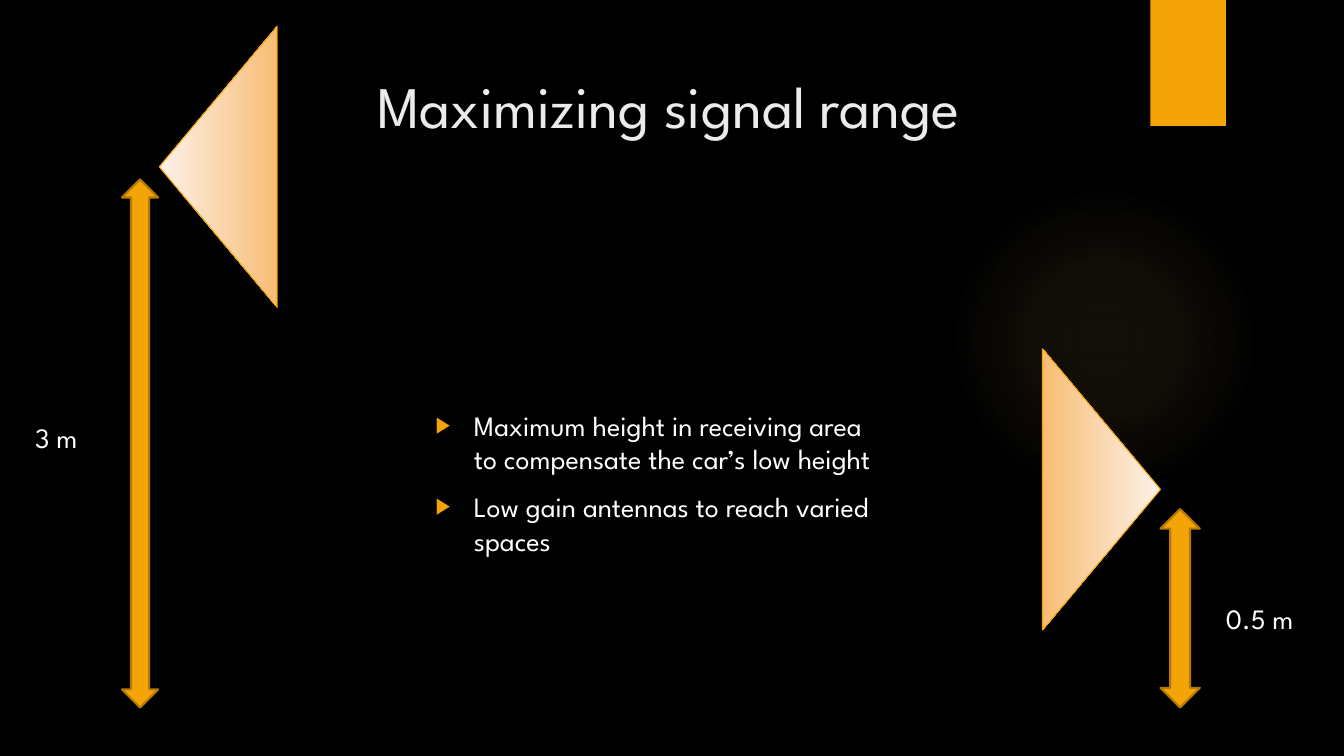
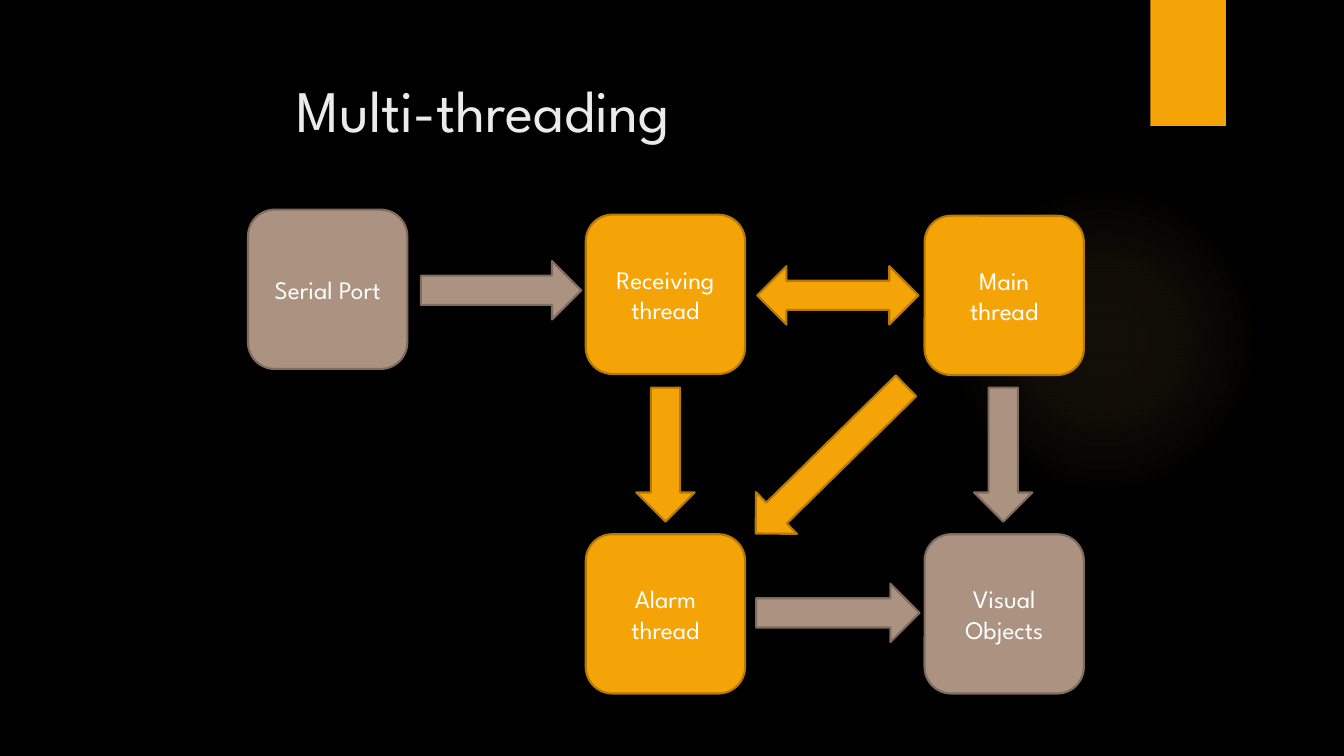
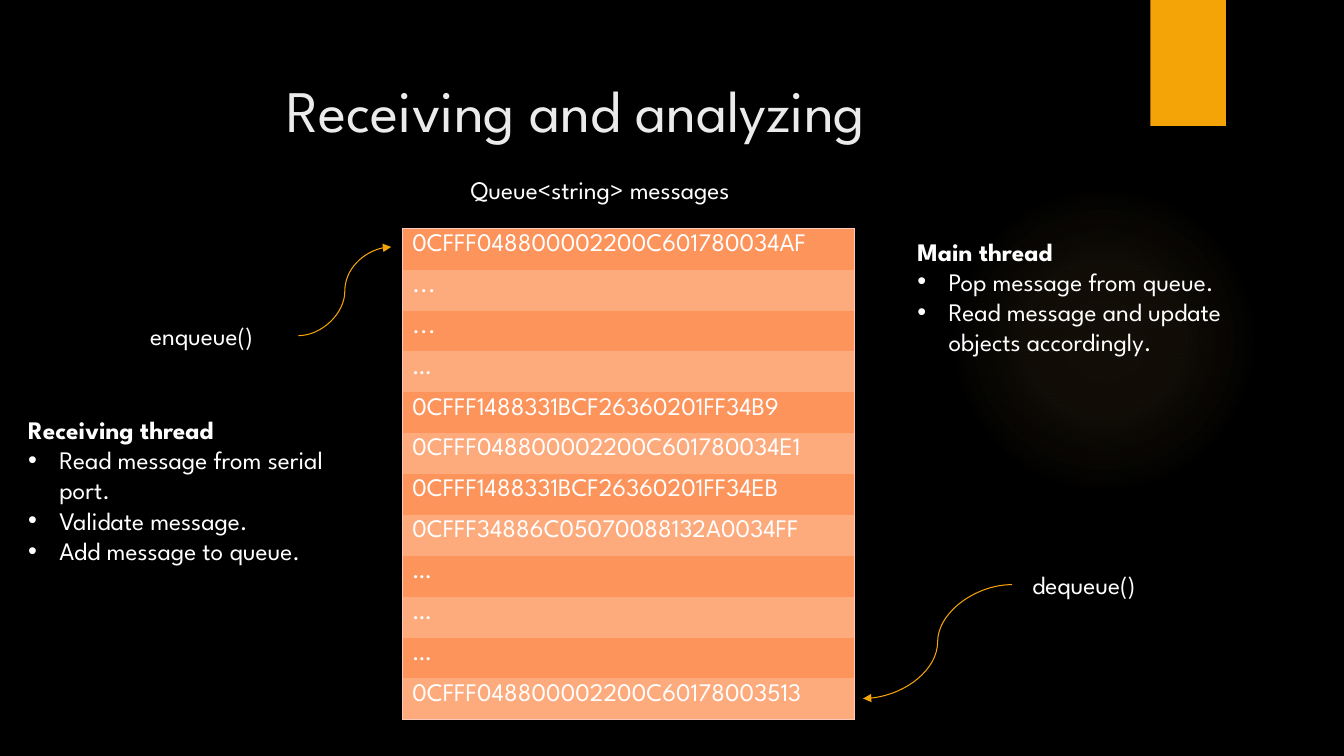
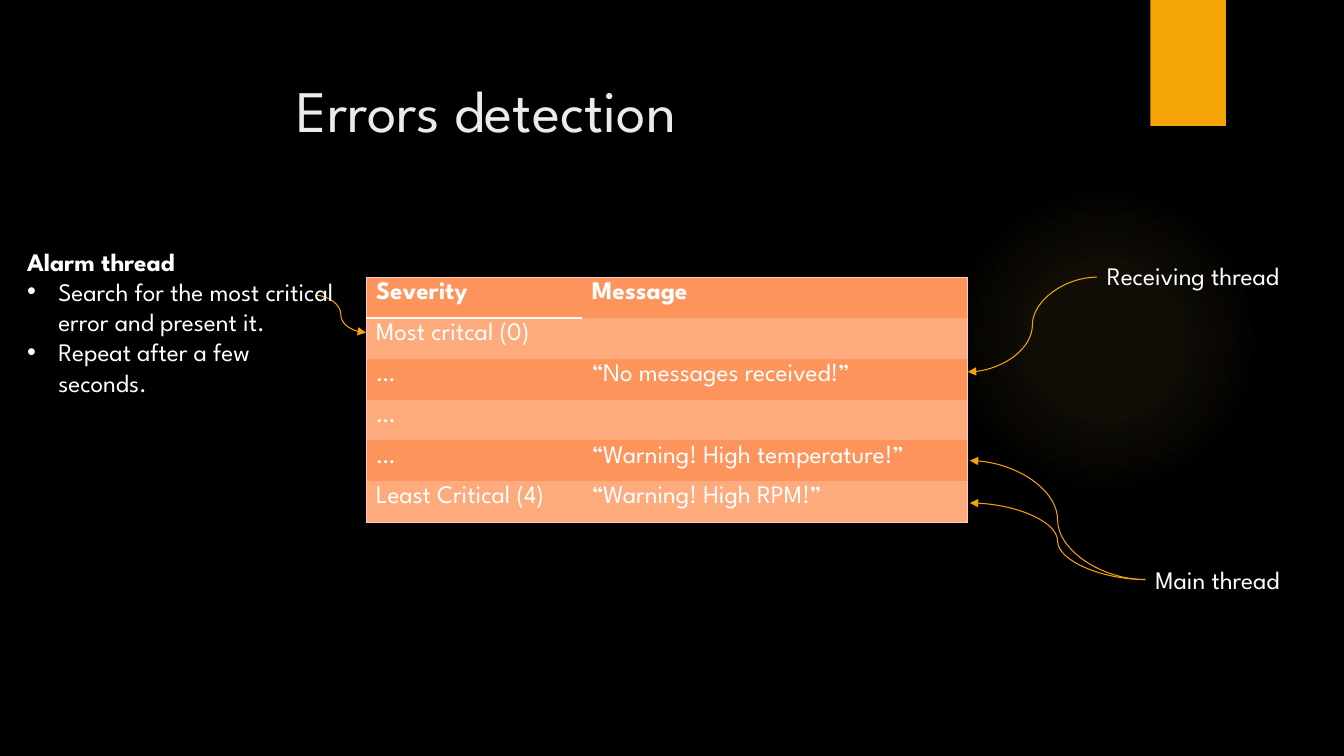
from lxml import etree
from pptx import Presentation
from pptx.dml.color import RGBColor
from pptx.enum.shapes import MSO_CONNECTOR, MSO_SHAPE
from pptx.enum.text import MSO_ANCHOR, MSO_AUTO_SIZE, PP_ALIGN
from pptx.oxml import parse_xml
from pptx.oxml.ns import nsdecls, qn
from pptx.util import Inches, Pt

FONT = "League Spartan"
COLORS = {
    "background": "000000", "title": "EBEBEB", "text": "FFFFFF",
    "gold": "F5A408", "gold_edge": "B57906",
    "taupe": "AB9281", "taupe_edge": "7F6C5F",
    "glow": "FAC96A", "beam_light": "FDF2E9", "beam_dark": "F8BD75",
    "row": "FC945C", "row_alternate": "FDAA7D", "table_edge": "FDC9BD",
}
NO_TABLE_STYLE = "{2D5ABB26-0587-4C30-8999-92F81FD0307C}"

# Slide 1: antennas
RANGE_POINTS = ["Maximum height in receiving area to compensate the car’s low height",
                "Low gain antennas to reach varied spaces"]
HEIGHT_ARROWS = [(1.21, 1.78, 0.36, 5.24), (11.51, 5.05, 0.39, 1.97)]
BEAMS = [(9.53, 4.27, 90), (0.77, 1.07, 270)]  # left, top, rotation
HEIGHT_LABELS = [("3 m", 0.25, 4.12), ("0.5 m", 12.06, 5.92)]

# Slide 2: threads
NODE_SIZE = 1.58
NODES = [  # text, left, top, colour
    ("Main thread", 9.17, 2.14, "gold"),
    ("Receiving thread", 5.81, 2.13, "gold"),
    ("Alarm thread", 5.81, 5.3, "gold"),
    ("Serial Port", 2.46, 2.08, "taupe"),
    ("Visual Objects", 9.17, 5.3, "taupe"),
]
ARROW_WIDTH = 0.58
FLOWS = [  # preset, centre x, centre y, length, rotation, colour
    (MSO_SHAPE.UP_ARROW, 4.97, 2.88, 1.59, 90, "taupe"),
    (MSO_SHAPE.UP_ARROW, 9.95, 4.51, 1.33, 180, "taupe"),
    (MSO_SHAPE.UP_ARROW, 8.31, 6.08, 1.62, 90, "taupe"),
    (MSO_SHAPE.UP_DOWN_ARROW, 8.31, 2.93, 1.6, 90, "gold"),
    (MSO_SHAPE.UP_ARROW, 6.6, 4.51, 1.33, 180, "gold"),
    (MSO_SHAPE.UP_ARROW, 8.24, 4.56, 2.09, 225.5, "gold"),
]

# Slide 3: message queue
QUEUE_ROWS = [[message] for message in (
    "0CFFF048800002200C601780034AF", "...", "...", "…",
    "0CFFF1488331BCF26360201FF34B9", "0CFFF048800002200C601780034E1",
    "0CFFF1488331BCF26360201FF34EB", "0CFFF34886C05070088132A0034FF",
    "…", "…", "…", "0CFFF048800002200C60178003513")]
QUEUE_LABELS = [("Queue<string> messages", 4.57, 1.68, 3.27),
                ("dequeue()", 10.14, 5.6, 1.54), ("enqueue()", 1.39, 3.13, 1.52)]
QUEUE_CURVES = [(2.96, 3.33, 3.88, 2.45), (10.04, 5.8, 8.56, 6.93)]
QUEUE_NOTES = [
    ("Receiving thread", ["Read message from serial port.", "Validate message.",
                          "Add message to queue."], (0.18, 4.06, 3.54, 1.62)),
    ("Main thread", ["Pop message from queue.",
                     "Read message and update objects accordingly."], (9, 2.29, 3.94, 1.31)),
]

# Slide 4: alarms
ALARM_ROWS = [
    ["Severity", "Message"],
    ["Most critcal (0)", ""],
    ["…", "“No messages received!”"],
    ["…", ""],
    ["…", "“Warning! High temperature!”"],
    ["Least Critical (4)", "“Warning! High RPM!”"],
]
ALARM_LABELS = [("Main thread", 11.36, 5.55, 1.71), ("Receiving thread", 10.88, 2.53, 2.31)]
ALARM_CURVES = [(11.36, 5.75, 9.62, 4.57), (11.36, 5.75, 9.62, 4.99),
                (10.88, 2.75, 9.6, 3.69), (3.13, 2.93, 3.63, 3.3)]
ALARM_NOTES = [
    ("Alarm thread", ["Search for the most critical error and present it.",
                      "Repeat after a few seconds."], (0.17, 2.39, 3.3, 1.92)),
]


def rgb(name):
    return RGBColor.from_string(COLORS[name])


def inches(*values):
    return [Inches(value) for value in values]


# Text
def style(paragraph, size, color="text", bold=False):
    font = paragraph.font
    font.name, font.size, font.bold = FONT, Pt(size), bold
    font.color.rgb = rgb(color)


def add_bullet(paragraph, character, indent, color=None, percent=100):
    properties = paragraph._p.get_or_add_pPr()
    properties.set("marL", str(Inches(indent)))
    properties.set("indent", str(-Inches(indent)))
    if color:
        properties.append(parse_xml(
            f'<a:buClr {nsdecls("a")}><a:srgbClr val="{COLORS[color]}"/></a:buClr>'))
    for tag, key, value in (("a:buSzPct", "val", str(percent * 1000)),
                            ("a:buFont", "typeface", "Arial"),
                            ("a:buChar", "char", character)):
        etree.SubElement(properties, qn(tag)).set(key, value)


def add_paragraph(frame, index, text):
    paragraph = frame.paragraphs[0] if index == 0 else frame.add_paragraph()
    paragraph.text = text
    return paragraph


def add_label(slide, text, left, top, width, height=0.4, size=18):
    frame = slide.shapes.add_textbox(*inches(left, top, width, height)).text_frame
    frame.word_wrap = True
    frame.text = text
    style(frame.paragraphs[0], size)


def add_note(slide, heading, points, box):
    frame = slide.shapes.add_textbox(*inches(*box)).text_frame
    frame.word_wrap = True
    for index, text in enumerate([heading] + points):
        paragraph = add_paragraph(frame, index, text)
        if index:
            add_bullet(paragraph, "•", 0.31)
        style(paragraph, 18, bold=index == 0)


def place(placeholder, left, top, width, height):
    placeholder.left, placeholder.top, placeholder.width, placeholder.height = inches(
        left, top, width, height)
    frame = placeholder.text_frame
    frame.word_wrap = True
    frame.auto_size = MSO_AUTO_SIZE.NONE
    frame.vertical_anchor = MSO_ANCHOR.TOP
    return frame


# Shapes
def add_shape(slide, preset, box, fill, edge=None, edge_width=1.5, rotation=0):
    shape = slide.shapes.add_shape(preset, *inches(*box))
    shape.shadow.inherit = False
    shape.rotation = rotation
    shape.fill.solid()
    shape.fill.fore_color.rgb = rgb(fill)
    if edge:
        shape.line.color.rgb = rgb(edge)
        shape.line.width = Pt(edge_width)
    else:
        shape.line.fill.background()
    return shape


def set_gradient(shape, stops, shading):
    stop_xml = "".join(
        f'<a:gs pos="{position * 1000}"><a:srgbClr val="{COLORS[color]}">'
        f'<a:alpha val="{alpha * 1000}"/></a:srgbClr></a:gs>'
        for position, color, alpha in stops)
    properties = shape.element.spPr
    properties.replace(properties.find(qn("a:solidFill")), parse_xml(
        f'<a:gradFill {nsdecls("a")} rotWithShape="1"><a:gsLst>{stop_xml}</a:gsLst>'
        f'{shading}</a:gradFill>'))


def add_curve(slide, *ends):
    connector = slide.shapes.add_connector(MSO_CONNECTOR.CURVE, *inches(*ends))
    connector.line.color.rgb = rgb("gold")
    connector.line.width = Pt(0.75)
    properties = connector.element.spPr
    etree.SubElement(properties.find(qn("a:ln")), qn("a:tailEnd")).set("type", "triangle")
    etree.SubElement(properties, qn("a:effectLst"))


# Tables
def set_borders(cell, borders):
    properties = cell._tc.get_or_add_tcPr()
    edges = [edge for edge in ("lnL", "lnR", "lnT", "lnB") if edge in borders]
    for index, edge in enumerate(edges):
        color, width = borders[edge]
        properties.insert(index, parse_xml(
            f'<a:{edge} {nsdecls("a")} w="{Pt(width)}"><a:solidFill>'
            f'<a:srgbClr val="{COLORS[color]}"/></a:solidFill></a:{edge}>'))


def add_striped_table(slide, rows, left, top, widths, height, header=False):
    table = slide.shapes.add_table(len(rows), len(widths),
                                   *inches(left, top, sum(widths), height)).table
    table.first_row = table.horz_banding = False
    table._tbl.tblPr.find(qn("a:tableStyleId")).text = NO_TABLE_STYLE
    for column, width in zip(table.columns, widths):
        column.width = Inches(width)
    last_row, last_column = len(rows) - 1, len(widths) - 1
    outline = ("table_edge", 0.75)
    for row_index, row in enumerate(rows):
        for column_index, text in enumerate(row):
            cell = table.cell(row_index, column_index)
            cell.text = text
            style(cell.text_frame.paragraphs[0], 18, bold=header and row_index == 0)
            cell.fill.solid()
            cell.fill.fore_color.rgb = rgb("row_alternate" if row_index % 2 else "row")
            outer = {"lnL": column_index == 0, "lnR": column_index == last_column,
                     "lnT": row_index == 0, "lnB": row_index == last_row}
            borders = {edge: outline for edge, drawn in outer.items() if drawn}
            if header and row_index == 0 and column_index == 0:
                borders["lnB"] = ("text", 2.25)
            set_borders(cell, borders)


# Shared frame
def add_slide(presentation, title, left, top=0.68, layout=5):
    slide = presentation.slides.add_slide(presentation.slide_layouts[layout])
    frame = place(slide.shapes.title, left, top, 9.75, 1.4)
    frame.text = title
    frame.paragraphs[0].alignment = PP_ALIGN.LEFT
    style(frame.paragraphs[0], 42, "title")
    return slide


def decorate_master(presentation, slide):
    """Draw the glow and the flag, then move them to the master."""
    master = presentation.slide_master
    master.background.fill.solid()
    master.background.fill.fore_color.rgb = rgb("background")
    glow = add_shape(slide, MSO_SHAPE.OVAL, (9.41, 1.83, 3.08, 3.08), "glow")
    set_gradient(glow, [(0, "glow", 7), (36, "glow", 6), (69, "glow", 0), (100, "glow", 0)],
                 '<a:path path="circle"><a:fillToRect l="50000" t="50000" r="50000" '
                 'b="50000"/></a:path>')
    flag = add_shape(slide, MSO_SHAPE.RECTANGLE, (11.41, 0, 0.75, 1.25), "gold")
    for shape in (flag, glow):
        master.shapes.element.insert(2, shape.element)


# Slides
def build_range(presentation):
    slide = add_slide(presentation, "Maximizing signal range", 3.64, 0.64, layout=1)
    decorate_master(presentation, slide)
    frame = place(slide.placeholders[1], 4.22, 4, 4.64, 2.79)
    for index, text in enumerate(RANGE_POINTS):
        paragraph = add_paragraph(frame, index, text)
        add_bullet(paragraph, "▶", 0.38, "gold", 80)
        paragraph.space_before = Pt(10 if index else 0)
        style(paragraph, 20)
    for box in HEIGHT_ARROWS:
        add_shape(slide, MSO_SHAPE.UP_DOWN_ARROW, box, "gold", "gold_edge")
    for left, top, rotation in BEAMS:
        beam = add_shape(slide, MSO_SHAPE.ISOSCELES_TRIANGLE, (left, top, 2.79, 1.17),
                         "beam_light", "gold", 0.75, rotation)
        set_gradient(beam, [(0, "beam_light", 100), (100, "beam_dark", 100)],
                     '<a:lin ang="5400000" scaled="0"/>')
    for text, left, top in HEIGHT_LABELS:
        add_label(slide, text, left, top, 0.96, 0.57, 20)


def build_threads(presentation):
    slide = add_slide(presentation, "Multi-threading", 2.84)
    for text, left, top, color in NODES:
        node = add_shape(slide, MSO_SHAPE.ROUNDED_RECTANGLE,
                         (left, top, NODE_SIZE, NODE_SIZE), color, color + "_edge")
        frame = node.text_frame
        frame.word_wrap = True
        frame.vertical_anchor = MSO_ANCHOR.MIDDLE
        frame.text = text
        frame.paragraphs[0].alignment = PP_ALIGN.CENTER
        style(frame.paragraphs[0], 18)
    for preset, center_x, center_y, length, rotation, color in FLOWS:
        box = (center_x - ARROW_WIDTH / 2, center_y - length / 2, ARROW_WIDTH, length)
        add_shape(slide, preset, box, color, color + "_edge", rotation=rotation)


def add_annotations(slide, curves, labels, notes):
    for ends in curves:
        add_curve(slide, *ends)
    for label in labels:
        add_label(slide, *label)
    for note in notes:
        add_note(slide, *note)


def build_queue(presentation):
    slide = add_slide(presentation, "Receiving and analyzing", 2.74)
    add_striped_table(slide, QUEUE_ROWS, 3.99, 2.27, [4.48], 4.87)
    add_annotations(slide, QUEUE_CURVES, QUEUE_LABELS, QUEUE_NOTES)


def build_alarms(presentation):
    slide = add_slide(presentation, "Errors detection", 2.84)
    add_striped_table(slide, ALARM_ROWS, 3.63, 2.75, [2.14, 3.83], 2.43, header=True)
    add_annotations(slide, ALARM_CURVES, ALARM_LABELS, ALARM_NOTES)


def main():
    presentation = Presentation()
    presentation.slide_width, presentation.slide_height = inches(13.33, 7.5)
    for build in (build_range, build_threads, build_queue, build_alarms):
        build(presentation)
    presentation.save("out.pptx")


if __name__ == "__main__":
    main()
